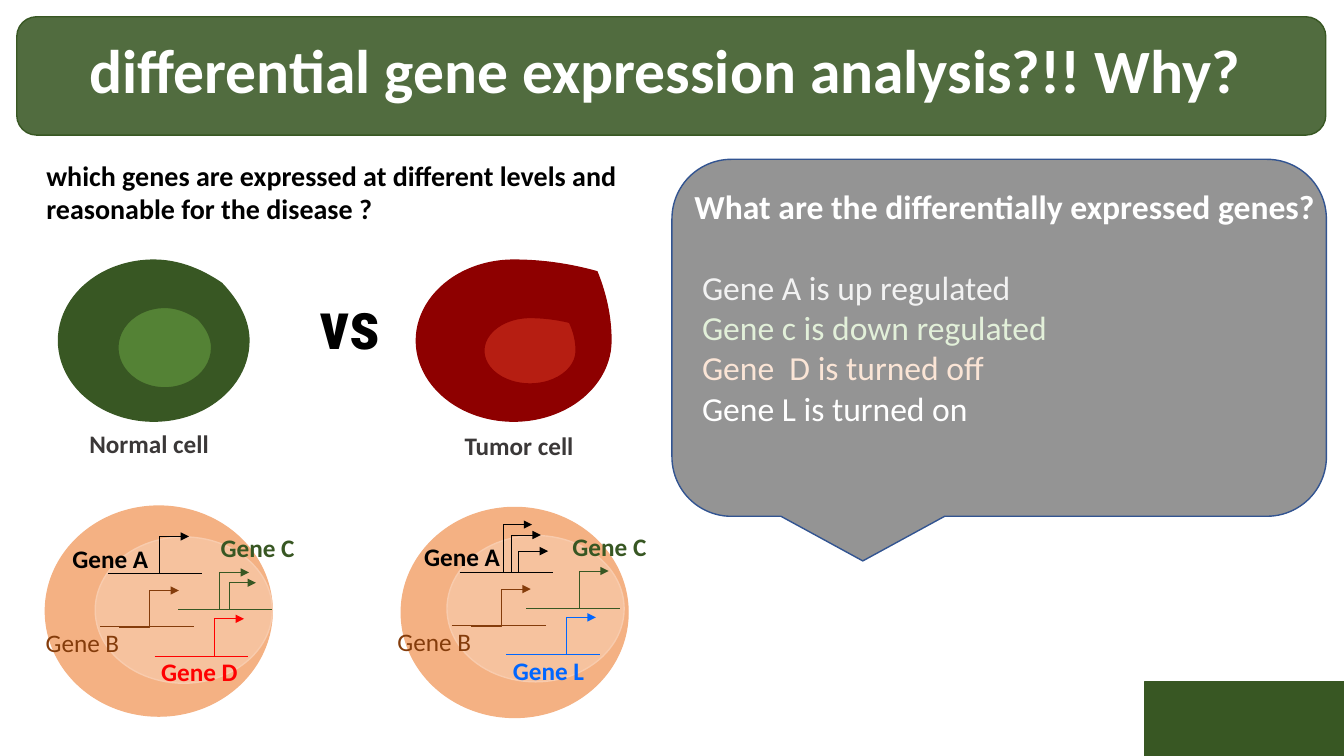
from lxml import etree
from pptx import Presentation
from pptx.dml.color import RGBColor
from pptx.enum import shapes, text
from pptx.oxml import ns
from pptx.util import Pt

INK = {
    "white": "FFFFFF", "black": "000000", "pine": "385723", "leaf": "548235",
    "brown": "843C0B", "red": "FF0000", "blue": "0066FF", "peach": "F4B183",
    "blush": "F8CBAD", "wine": "8E0000", "rust": "B61E12", "gray": "7C7C7C",
    "navy": "325491", "slate": "3B3838", "pale": "F2F2F2", "mint": "E2F0D9",
    "cream": "FBE5D6",
}
KIND = shapes.MSO_SHAPE
LEFT, MID = text.PP_ALIGN.LEFT, text.PP_ALIGN.CENTER


def color(name):
    return RGBColor.from_string(INK[name])


class Board:
    """Holds the style and the slide, and draws each kind of element."""
    font = "Calibri"
    thin, edge = 0.5, 1
    base, rise, reach = 67, 26.5, 42.5  # gene line length, arrow height and width

    def __init__(self, slide):
        self.slide = slide

    def shape(self, kind, at, fill, line, alpha=None, adj=None):
        item = self.slide.shapes.add_shape(kind, *map(Pt, at))
        item.shadow.inherit = False
        item.fill.solid()
        item.fill.fore_color.rgb = color(fill)
        item.line.color.rgb = color(line)
        item.line.width = Pt(self.edge)
        if alpha:
            tone = item.element.xpath("./p:spPr/a:solidFill/a:srgbClr")[0]
            etree.SubElement(tone, ns.qn("a:alpha"), val=str(alpha * 1000))
        if adj:
            item.adjustments[0] = adj

    def line(self, kind, start, end, ink, head=False):
        item = self.slide.shapes.add_connector(kind, *map(Pt, start + end))
        item.line.color.rgb = color(ink)
        item.line.width = Pt(self.thin)
        if head:
            stroke = item.element.xpath("./p:spPr/a:ln")[0]
            etree.SubElement(stroke, ns.qn("a:tailEnd"), type="triangle")
        etree.SubElement(item.element.spPr, ns.qn("a:effectLst"))

    def gene(self, x, y, ink):
        self.line(shapes.MSO_CONNECTOR.STRAIGHT, (x, y), (x + self.base, y), ink)

    def arrow(self, x, y, ink, wide=reach, high=rise):
        self.line(shapes.MSO_CONNECTOR.ELBOW, (x, y), (x + wide, y - high), ink, True)

    def words(self, para, words, size, ink, bold=True, align=LEFT, font=font):
        para.alignment = align
        run = para.add_run()
        run.text = words
        run.font.name, run.font.size, run.font.bold = font, Pt(size), bold
        run.font.color.rgb = color(ink)

    def label(self, at, words, size, ink, **style):
        frame = self.slide.shapes.add_textbox(*map(Pt, at)).text_frame
        frame.word_wrap = True
        self.words(frame.paragraphs[0], words, size, ink, **style)
        return frame

    def cell(self, dx, dy, body, genes, arrows, names):
        self.shape(KIND.OVAL, (body, 361.5 - dy, 162, 150), "peach", "peach")
        self.shape(KIND.OVAL, (68 + dx, 383.5 + dy, 126.5, 104.5), "blush", "blush", 66)
        for x, y, ink in genes:
            self.gene(x + dx, y + dy, ink)
        for x, y, ink, *size in arrows:
            self.arrow(x + dx, y + dy, ink, *size)
        for x, y, words, ink, bold in names:
            self.label((x + dx, y + dy, 74, 29), words, 18, ink, bold=bold)


deck = Presentation()
deck.slide_width, deck.slide_height = Pt(960), Pt(540)
board = Board(deck.slides.add_slide(deck.slide_layouts[6]))

# Title banner
board.shape(KIND.ROUNDED_RECTANGLE, (12, 12, 935, 84.5), "pine", "pine", 87)
title = board.label((37, 0, 877, 104.5), "differential gene expression analysis?!! Why?",
                    44, "white", align=MID)
title.vertical_anchor = text.MSO_ANCHOR.MIDDLE
title.paragraphs[0].line_spacing = 0.9

# Gene diagrams: shared parts, then what each cell adds
genes = [(77, 409.7, "black"), (71.5, 447.5, "brown")]
arrows = [(92.5, 409.7, "black"), (85.3, 448.3, "brown")]
names = [(150.5, 377, "Gene C", "pine", True), (44.6, 384.2, "Gene A", "black", True),
         (25.5, 444.5, "Gene B", "brown", False)]
cells = [
    (0, 0, 32.4, 127.4, 135.4, "Gene D", "red", [(145.4, 435, "pine", 37.4, 18.7)]),
    (251.3, -1, 286.6, 124.5, 141, "Gene L", "blue",
     [(87.8, 409.7, "black", 41, 34), (97.2, 409.7, "black", 43, 15)]),
]
for dx, dy, body, base, bend, name, ink, extra in cells:
    board.cell(
        dx, dy, body,
        genes + [(base, 435.4, "pine"), (110.5, 468.5, ink)],
        arrows + [(bend, 435.4, "pine"), (131.8, 468.5, ink)] + extra,
        names + [(108, 465.6, name, ink, True)])

# Callout with the findings
board.shape(KIND.ROUNDED_RECTANGULAR_CALLOUT, (480, 113.8, 467.5, 255),
            "gray", "navy", 81)
frame = board.label((489, 129, 467.5, 232.5),
                    "What are the differentially expressed genes?", 24, "white")
facts = [("Gene A is up regulated", "pale"), ("Gene c is down regulated", "mint"),
         ("Gene  D is turned off", "cream"), ("Gene L is turned on", "white")]
for row, (words, ink) in enumerate(facts):
    para = frame.add_paragraph()
    para._p.get_or_add_pPr().set("marL", str(Pt(5.4)))
    para.space_before = Pt(0 if row else 29)
    board.words(para, words, 24, ink, bold=False)

# Question and cell comparison
board.label((26, 109.5, 445, 55.5), "which genes are expressed at different levels "
            "and reasonable for the disease ?", 20, "black")
board.label((221, 198, 63, 65.5), "vs", 48, "black", font="Roboto Condensed")
drops = [
    ((41.8, 185.8, 136, 115), "pine", "pine", 0.713),
    ((84.2, 219.6, 67, 57.5), "leaf", "pine", 0.713),
    ((297.4, 185.8, 139, 115), "wine", "wine", 0.856),
    ((345.6, 226.8, 66, 47.5), "rust", "wine", 0.856),
]
for at, fill, line, adj in drops:
    board.shape(KIND.TEAR, at, fill, line, adj=adj)
for x, y, words in [(46.8, 302.4, "Normal cell"), (311, 303.8, "Tumor cell")]:
    board.label((x, y, 119.5, 29), words, 18, "slate", align=MID)

# Corner block
board.shape(KIND.RECTANGLE, (818, 487, 142, 53), "pine", "pine")

deck.save("out.pptx")
